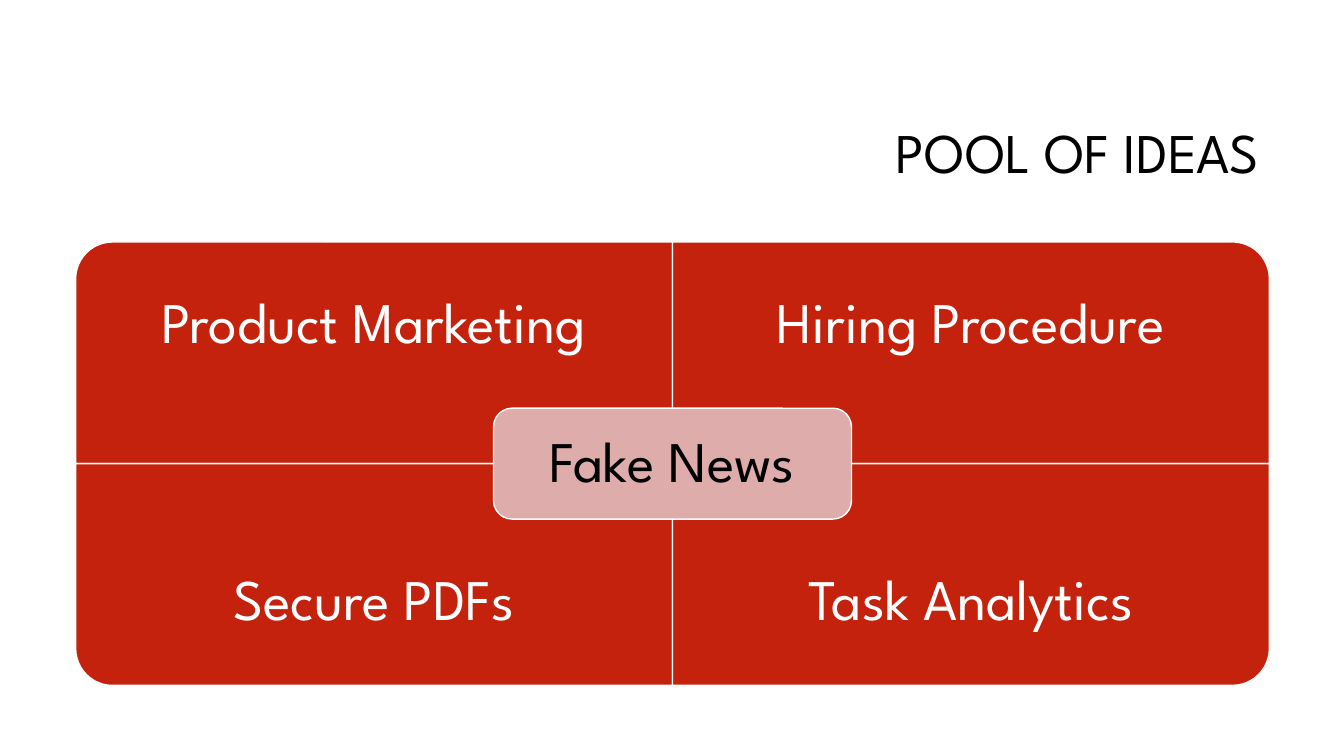
import dataclasses

import pptx
import pptx.dml.color
import pptx.enum.shapes
import pptx.enum.text
import pptx.util
from pptx.util import Inches

TITLE = "POOL OF IDEAS"
CENTER_IDEA = "Fake News"
# Idea, column, row, rotation that turns the rounded corner outward
QUADRANTS = [
    ("Product Marketing", 0, 0, 270),
    ("Hiring Procedure", 1, 0, 0),
    ("Secure PDFs", 0, 1, 180),
    ("Task Analytics", 1, 1, 90),
]


@dataclasses.dataclass(frozen=True)
class Theme:
    font: str = "League Spartan"
    title_size: int = 40
    idea_size: int = 41
    line_width: int = 1
    red: str = "C4220D"
    pink: str = "DEACAB"
    white: str = "FFFFFF"
    black: str = "000000"


THEME = Theme()
LEFT, TOP = 0.75, 2.4
QUADRANT_WIDTH, QUADRANT_HEIGHT = 5.92, 2.2
LABEL_HEIGHT = QUADRANT_HEIGHT * 0.75
CENTER_WIDTH, CENTER_HEIGHT = 3.55, QUADRANT_HEIGHT / 2


def color(value):
    return pptx.dml.color.RGBColor.from_string(value)


def set_text(shape, text, size, text_color, alignment, inset):
    frame = shape.text_frame
    frame.text = text
    frame.word_wrap = True
    frame.auto_size = pptx.enum.text.MSO_AUTO_SIZE.NONE
    frame.vertical_anchor = pptx.enum.text.MSO_ANCHOR.MIDDLE
    frame.margin_left = frame.margin_right = Inches(inset)
    frame.margin_top = frame.margin_bottom = Inches(inset)
    paragraph = frame.paragraphs[0]
    paragraph.alignment = alignment
    paragraph.line_spacing = 0.9
    font = paragraph.runs[0].font
    font.name = THEME.font
    font.size = pptx.util.Pt(size)
    font.color.rgb = color(text_color)


def set_idea(shape, idea, text_color, inset):
    set_text(shape, idea, THEME.idea_size, text_color,
             pptx.enum.text.PP_ALIGN.CENTER, inset)


def add_panel(slide, kind, center_x, center_y, width, height, fill):
    """Add a white-edged shape centred on the given point."""
    panel = slide.shapes.add_shape(
        kind, Inches(center_x - width / 2), Inches(center_y - height / 2),
        Inches(width), Inches(height))
    panel.shadow.inherit = False
    panel.fill.solid()
    panel.fill.fore_color.rgb = color(fill)
    panel.line.color.rgb = color(THEME.white)
    panel.line.width = pptx.util.Pt(THEME.line_width)
    return panel


def add_quadrant(slide, idea, column, row, rotation):
    left = LEFT + column * QUADRANT_WIDTH
    top = TOP + row * QUADRANT_HEIGHT
    width, height = QUADRANT_WIDTH, QUADRANT_HEIGHT
    if rotation % 180:
        width, height = height, width
    panel = add_panel(
        slide, pptx.enum.shapes.MSO_SHAPE.ROUND_1_RECTANGLE,
        left + QUADRANT_WIDTH / 2, top + QUADRANT_HEIGHT / 2,
        width, height, THEME.red)
    panel.rotation = rotation

    label_top = top + row * (QUADRANT_HEIGHT - LABEL_HEIGHT)
    label = slide.shapes.add_textbox(
        Inches(left), Inches(label_top),
        Inches(QUADRANT_WIDTH), Inches(LABEL_HEIGHT))
    set_idea(label, idea, THEME.white, 0.32)


def main():
    presentation = pptx.Presentation()
    presentation.slide_width = Inches(13.33)
    presentation.slide_height = Inches(7.5)
    slide = presentation.slides.add_slide(presentation.slide_layouts[5])

    title = slide.shapes.title
    title.left, title.top = Inches(3.17), Inches(0.84)
    title.width, title.height = Inches(9.42), Inches(1.41)
    set_text(title, TITLE, THEME.title_size, THEME.black,
             pptx.enum.text.PP_ALIGN.RIGHT, 0.1)

    for quadrant in QUADRANTS:
        add_quadrant(slide, *quadrant)

    center = add_panel(
        slide, pptx.enum.shapes.MSO_SHAPE.ROUNDED_RECTANGLE,
        LEFT + QUADRANT_WIDTH, TOP + QUADRANT_HEIGHT,
        CENTER_WIDTH, CENTER_HEIGHT, THEME.pink)
    set_idea(center, CENTER_IDEA, THEME.black, 0.17)

    presentation.save("out.pptx")


if __name__ == "__main__":
    main()
